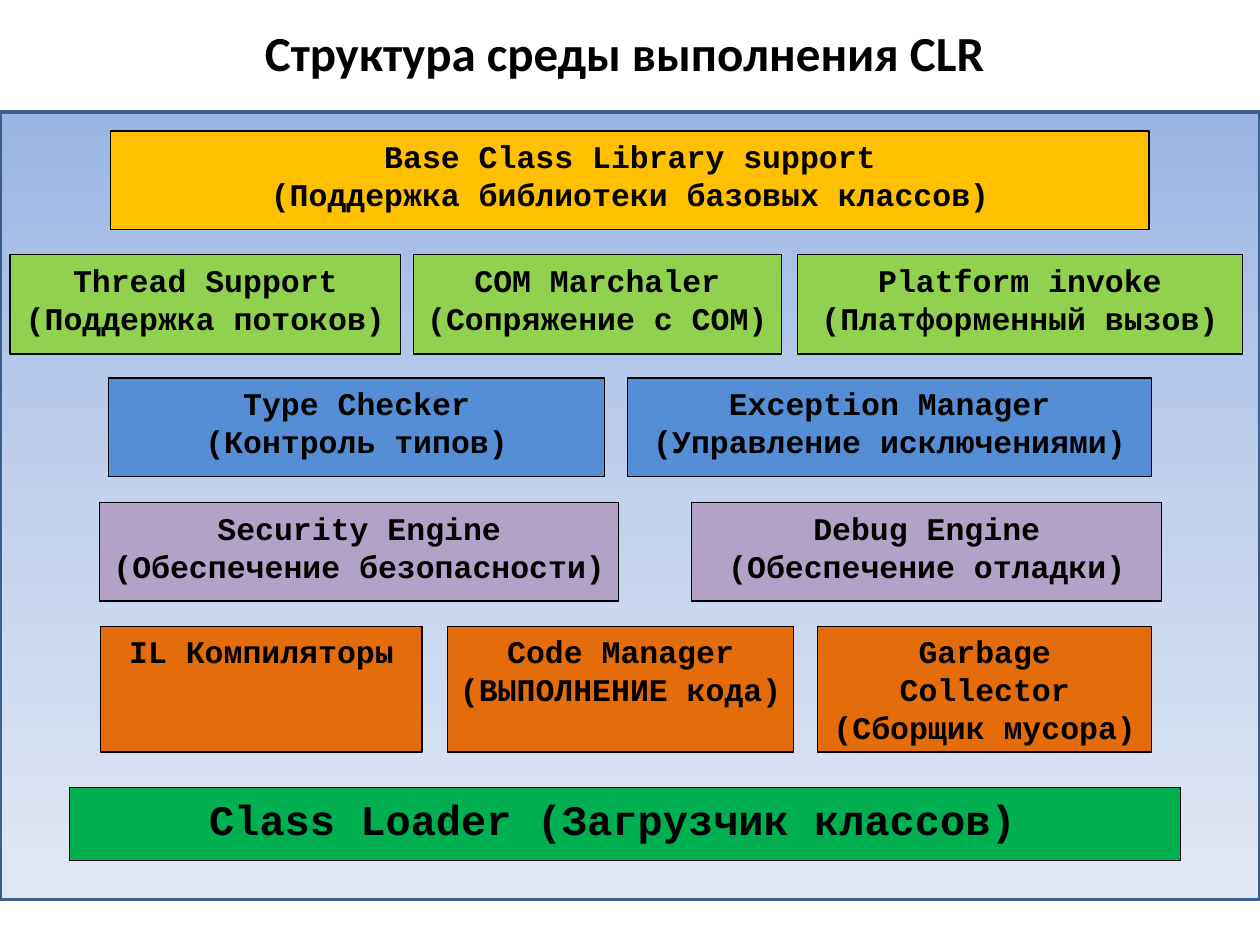
from copy import deepcopy

from pptx import Presentation
from pptx.dml.color import RGBColor
from pptx.enum import shapes, text
from pptx.oxml import ns
from pptx.util import Inches, Pt


def color(code):
    return RGBColor.from_string(code)


class Board:
    """Style of the diagram and the slide it is drawn on."""
    ink = "000000"
    head = "Calibri"
    mono = "Courier New"

    def __init__(self, slide):
        self.slide = slide

    def rect(self, x, y, w, h, edge, width):
        shape = self.slide.shapes.add_shape(
            shapes.MSO_SHAPE.RECTANGLE,
            Inches(x), Inches(y), Inches(w), Inches(h))
        shape.shadow.inherit = False
        shape.line.color.rgb = color(edge)
        shape.line.width = Pt(width)
        return shape

    def label(self, frame, lines, font, size):
        frame.word_wrap = True
        frame.vertical_anchor = text.MSO_ANCHOR.TOP
        for i, line in enumerate(lines):
            para = frame.add_paragraph() if i else frame.paragraphs[0]
            para.alignment = text.PP_ALIGN.CENTER
            run = para.add_run()
            run.text = line
            run.font.name = font
            run.font.size = Pt(size)
            run.font.bold = True
            run.font.color.rgb = color(self.ink)

    def panel(self, x, y, w, h, tones):
        """Rectangle with a top-down gradient of three evenly spaced tones."""
        shape = self.rect(x, y, w, h, "3A5F8C", 2)
        fill = shape.fill
        fill.gradient()
        fill.gradient_angle = 270
        first = next(shape._element.spPr.iter(ns.qn("a:gs")))
        first.addnext(deepcopy(first))
        for i, (stop, tone) in enumerate(zip(fill.gradient_stops, tones)):
            stop.position = i / 2
            stop.color.rgb = color(tone)

    def block(self, x, y, w, h, tone, lines, size=18):
        shape = self.rect(x, y, w, h, self.ink, 0.75)
        shape.fill.solid()
        shape.fill.fore_color.rgb = color(tone)
        self.label(shape.text_frame, lines, self.mono, size)

    def title(self, x, y, w, h, line):
        box = self.slide.shapes.add_textbox(
            Inches(x), Inches(y), Inches(w), Inches(h))
        self.label(box.text_frame, [line], self.head, 28)
        box.text_frame.auto_size = text.MSO_AUTO_SIZE.SHAPE_TO_FIT_TEXT


# Each layer: top, height, fill, then blocks as (left, width, lines)
LAYERS = [
    (1.04, 0.78, "FFC000", [
        (0.88, 8.24, ["Base Class Library support",
                      "(Поддержка библиотеки базовых классов)"])]),
    (2.02, 0.79, "92D050", [
        (0.08, 3.1, ["Thread Support", "(Поддержка потоков)"]),
        (3.28, 2.92, ["COM Marchaler", "(Сопряжение с COM)"]),
        (6.33, 3.53, ["Platform invoke", "(Платформенный вызов)"])]),
    (3, 0.78, "558ED5", [
        (0.86, 3.94, ["Type Checker", "(Контроль типов)"]),
        (4.98, 4.16, ["Exception Manager", "(Управление исключениями)"])]),
    (3.99, 0.78, "B3A2C7", [
        (0.79, 4.12, ["Security Engine", "(Обеспечение безопасности)"]),
        (5.49, 3.73, ["Debug Engine", "(Обеспечение отладки)"])]),
    (4.97, 1, "E46C0A", [
        (0.8, 2.55, ["IL Компиляторы"]),
        (3.55, 2.75, ["Code Manager", "(ВЫПОЛНЕНИЕ кода)"]),
        (6.49, 2.65, ["Garbage Collector", "(Сборщик мусора)"])]),
]


def main():
    deck = Presentation()
    deck.slide_width, deck.slide_height = Inches(10), Inches(7.5)
    board = Board(deck.slides.add_slide(deck.slide_layouts[6]))
    board.panel(0, 0.89, 10, 6.25, ["9AB5E4", "C2D1ED", "E1E8F5"])
    for top, high, tone, blocks in LAYERS:
        for left, wide, lines in blocks:
            board.block(left, top, wide, high, tone, lines)
    board.block(0.55, 6.25, 8.82, 0.58, "00B050",
                ["Class Loader (Загрузчик классов) "], 24)
    board.title(0, 0.13, 10, 0.57, "Структура среды выполнения CLR ")
    deck.save("out.pptx")


if __name__ == "__main__":
    main()
